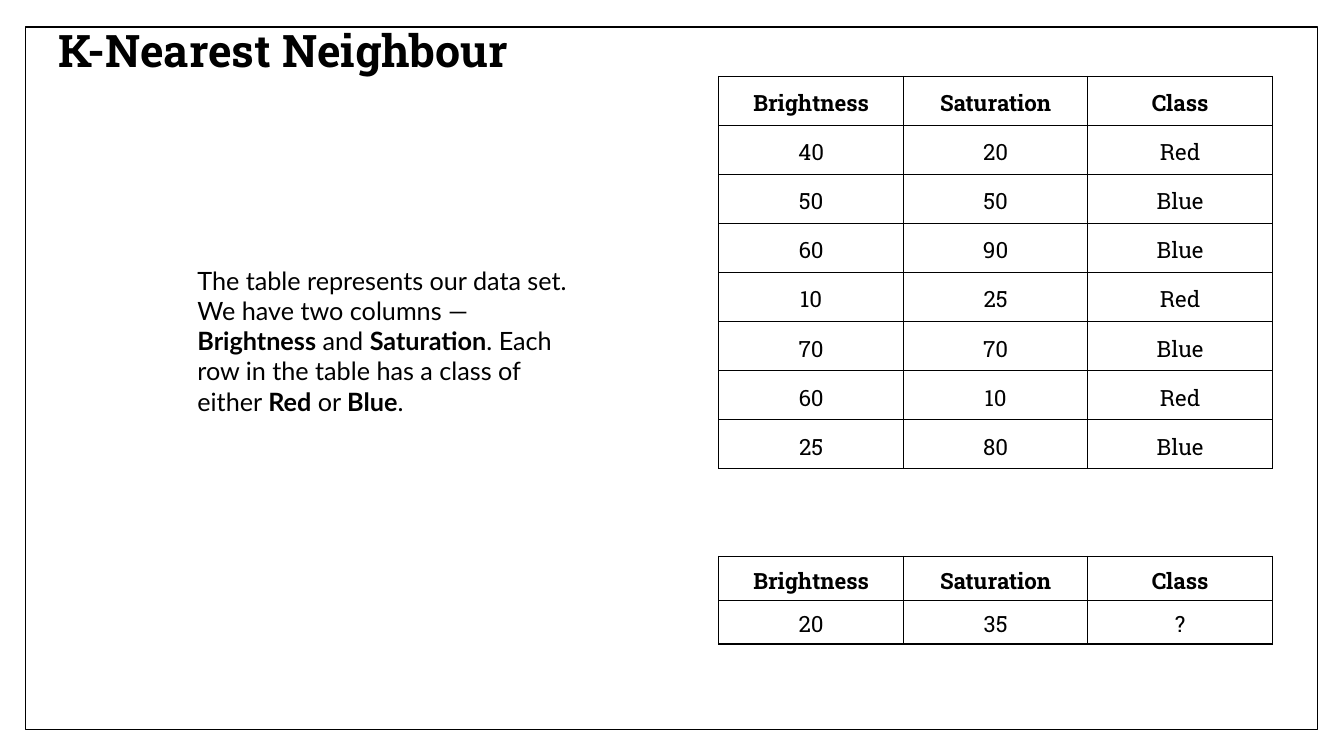
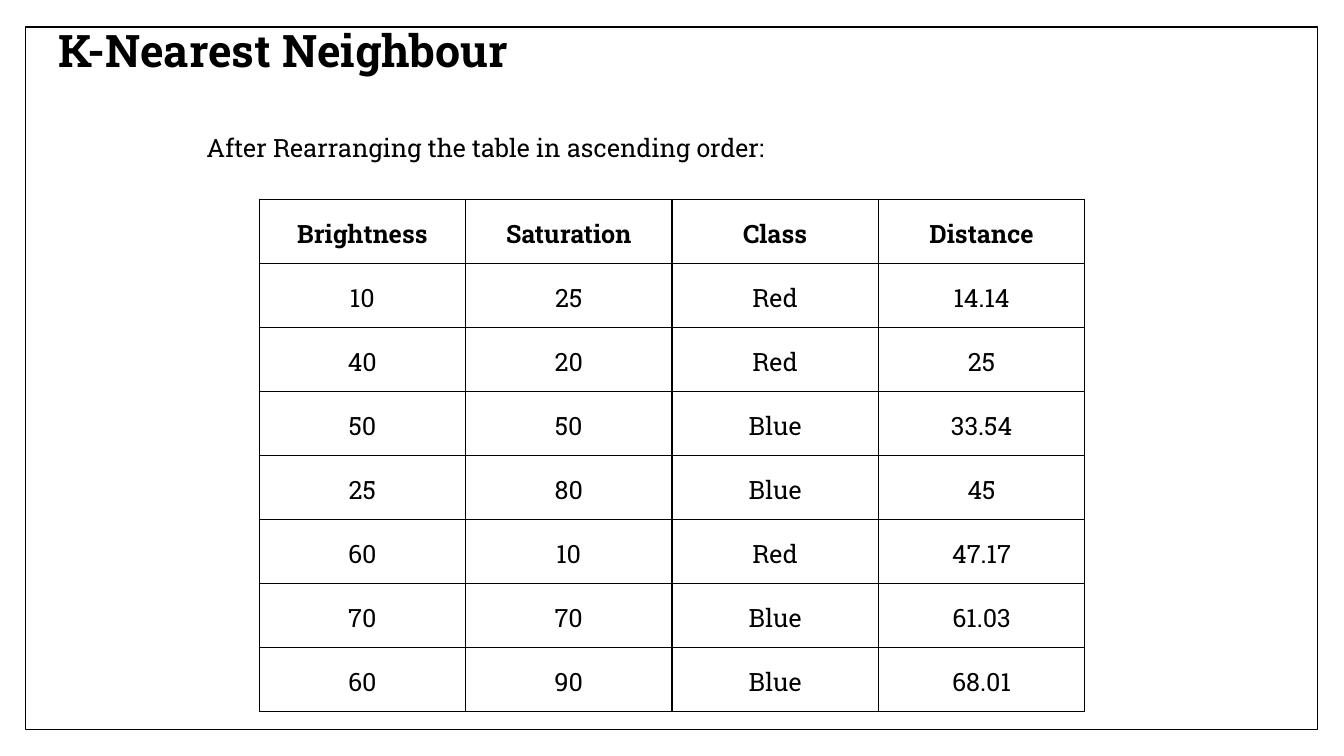
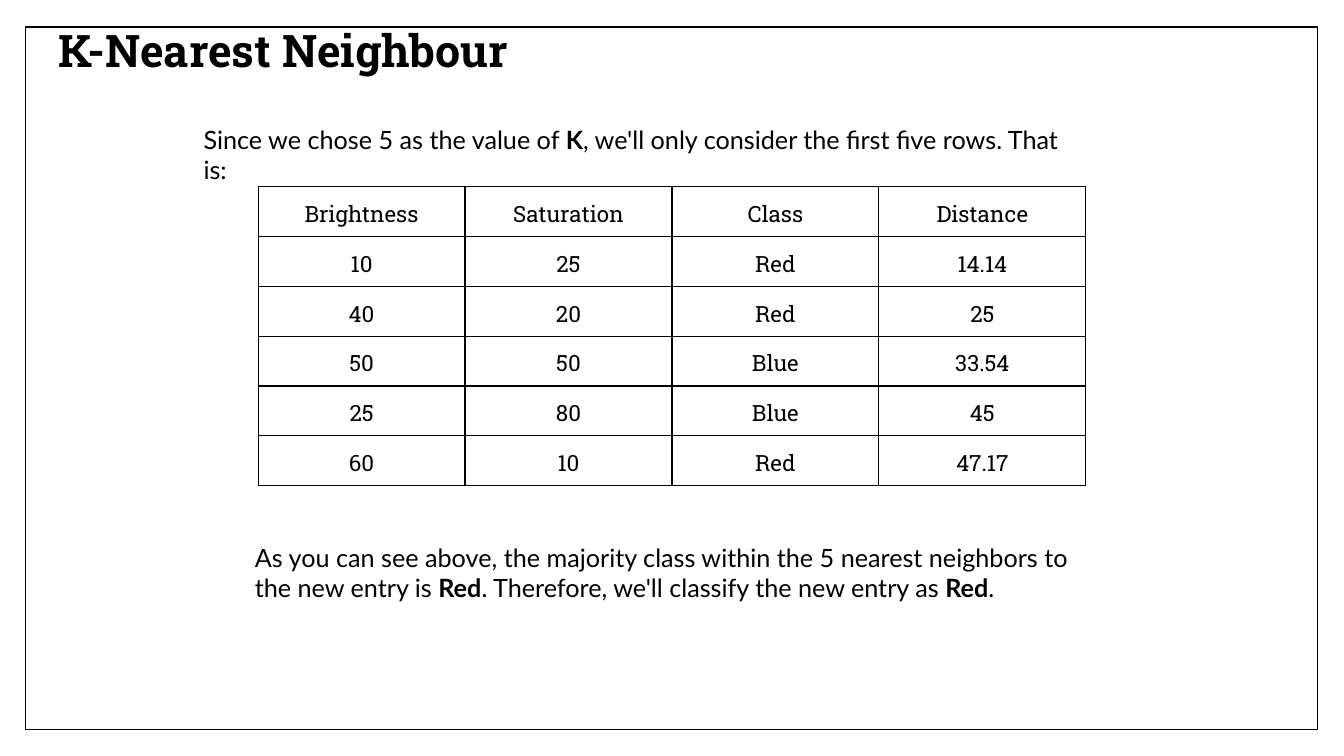
from dataclasses import dataclass

from pptx import Presentation
from pptx.dml.color import RGBColor
from pptx.enum.shapes import MSO_SHAPE
from pptx.enum.text import MSO_ANCHOR, MSO_AUTO_SIZE, PP_ALIGN
from pptx.oxml import parse_xml
from pptx.oxml.ns import nsdecls
from pptx.util import Emu, Pt

RECT = MSO_SHAPE.RECTANGLE
MIDDLE, TOP = MSO_ANCHOR.MIDDLE, MSO_ANCHOR.TOP
CENTER = PP_ALIGN.CENTER
GROW, FIXED = MSO_AUTO_SIZE.SHAPE_TO_FIT_TEXT, MSO_AUTO_SIZE.NONE

# Shared style: 100 px to the inch
SCALE = 9144
COLORS = {"ink": "000000", "paper": "FFFFFF"}
SLAB, LATO = "Roboto Slab", "Lato"
TITLE = "K-Nearest Neighbour"

# Data set, each row with its distance to the new entry
HEADS = ("Brightness", "Saturation", "Class", "Distance")
DATA = [
    ("40", "20", "Red", "25"),
    ("50", "50", "Blue", "33.54"),
    ("60", "90", "Blue", "68.01"),
    ("10", "25", "Red", "14.14"),
    ("70", "70", "Blue", "61.03"),
    ("60", "10", "Red", "47.17"),
    ("25", "80", "Blue", "45"),
]
ENTRY = ("20", "35", "?")
RANKED = sorted(DATA, key=lambda row: float(row[3]))
K = 5


@dataclass
class Box:
    left: int
    top: int
    width: int
    height: int

    def emu(self) -> list[Emu]:
        return [px(n) for n in (self.left, self.top, self.width, self.height)]


@dataclass
class Run:
    text: str
    bold: bool = False


@dataclass
class Note:
    box: Box
    runs: list[Run]
    font: str = LATO
    size: int = 18
    anchor: MSO_ANCHOR = TOP
    fit: MSO_AUTO_SIZE = GROW


@dataclass
class Grid:
    box: Box
    rows: list[tuple[str, ...]]
    size: int = 16
    bold: bool = True


@dataclass
class Page:
    notes: list[Note]
    grids: list[Grid]


def px(num: int) -> Emu:
    return Emu(num * SCALE)


def color(name: str) -> RGBColor:
    return RGBColor.from_string(COLORS[name])


def add_run(para, run: Run, font: str, size: int) -> None:
    part = para.add_run()
    part.text = run.text
    part.font.name = font
    part.font.size = Pt(size)
    part.font.bold = run.bold
    part.font.color.rgb = color("ink")


def add_frame(slide) -> None:
    frame = slide.shapes.add_shape(RECT, *Box(25, 27, 1282, 697).emu())
    frame.shadow.inherit = False
    frame.fill.solid()
    frame.fill.fore_color.rgb = color("paper")
    frame.line.color.rgb = color("ink")
    frame.line.width = Pt(1)


def add_note(slide, note: Note) -> None:
    frame = slide.shapes.add_textbox(*note.box.emu()).text_frame
    frame.word_wrap = True
    frame.auto_size = note.fit
    frame.vertical_anchor = note.anchor
    for run in note.runs:
        add_run(frame.paragraphs[0], run, note.font, note.size)


def add_edges(cell) -> None:
    props = cell._tc.get_or_add_tcPr()
    for spot, side in enumerate("LRTB"):
        props.insert(spot, parse_xml(
            f'<a:ln{side} {nsdecls("a")} w="{Pt(1)}"><a:solidFill>'
            f'<a:srgbClr val="{COLORS["ink"]}"/></a:solidFill></a:ln{side}>'))


def fill_cell(cell, run: Run, size: int) -> None:
    cell.fill.background()
    add_edges(cell)
    cell.vertical_anchor = MIDDLE
    cell.margin_left = cell.margin_right = px(1)
    cell.margin_top = cell.margin_bottom = px(1)
    para = cell.text_frame.paragraphs[0]
    para.alignment = CENTER
    para.line_spacing = 1.15
    para.space_after = Pt(8)
    add_run(para, run, SLAB, size)


def add_grid(slide, grid: Grid) -> None:
    high, wide = len(grid.rows), len(grid.rows[0])
    table = slide.shapes.add_table(high, wide, *grid.box.emu()).table
    table.first_row = table.horz_banding = False
    for col in table.columns:
        col.width = px(grid.box.width) // wide
    for row, line in enumerate(grid.rows):
        table.rows[row].height = px(grid.box.height) // high
        for col, text in enumerate(line):
            run = Run(text, grid.bold and row == 0)
            fill_cell(table.cell(row, col), run, grid.size)


HEADING = Note(Box(48, 11, 1214, 76), [Run(TITLE, True)], SLAB, 32, MIDDLE, FIXED)

PAGES = [
    # Data set and new entry
    Page(
        [Note(Box(186, 258, 403, 162), [
            Run("The table represents our data set. We have two columns — "),
            Run("Brightness", True), Run(" and "), Run("Saturation", True),
            Run(". Each row in the table has a class of either "),
            Run("Red", True), Run(" or "), Run("Blue", True), Run("."),
        ])],
        [Grid(Box(713, 76, 549, 389), [HEADS[:3]] + [row[:3] for row in DATA]),
         Grid(Box(713, 552, 549, 87), [HEADS[:3], ENTRY])],
    ),
    # Rows by distance
    Page(
        [Note(Box(195, 126, 624, 40),
              [Run("After Rearranging the table in ascending order:")], SLAB)],
        [Grid(Box(257, 198, 819, 508), [HEADS] + RANKED, 18)],
    ),
    # Nearest rows and the result
    Page(
        [Note(Box(192, 118, 885, 71), [
            Run("Since we chose 5 as the value of "), Run("K", True),
            Run(", we'll only consider the first five rows. That is:"),
        ]),
         Note(Box(243, 533, 847, 101), [
             Run("As you can see above, the majority class within the "
                 "5 nearest neighbors to the new entry is "),
             Run("Red", True),
             Run(". Therefore, we'll classify the new entry as "),
             Run("Red", True), Run("."),
         ])],
        [Grid(Box(256, 185, 821, 297), [HEADS] + RANKED[:K], bold=False)],
    ),
]


def main() -> None:
    deck = Presentation()
    deck.slide_width, deck.slide_height = px(1333), px(750)
    for page in PAGES:
        slide = deck.slides.add_slide(deck.slide_layouts[6])
        add_frame(slide)
        for note in [HEADING] + page.notes:
            add_note(slide, note)
        for grid in page.grids:
            add_grid(slide, grid)
    deck.save("out.pptx")


if __name__ == "__main__":
    main()
